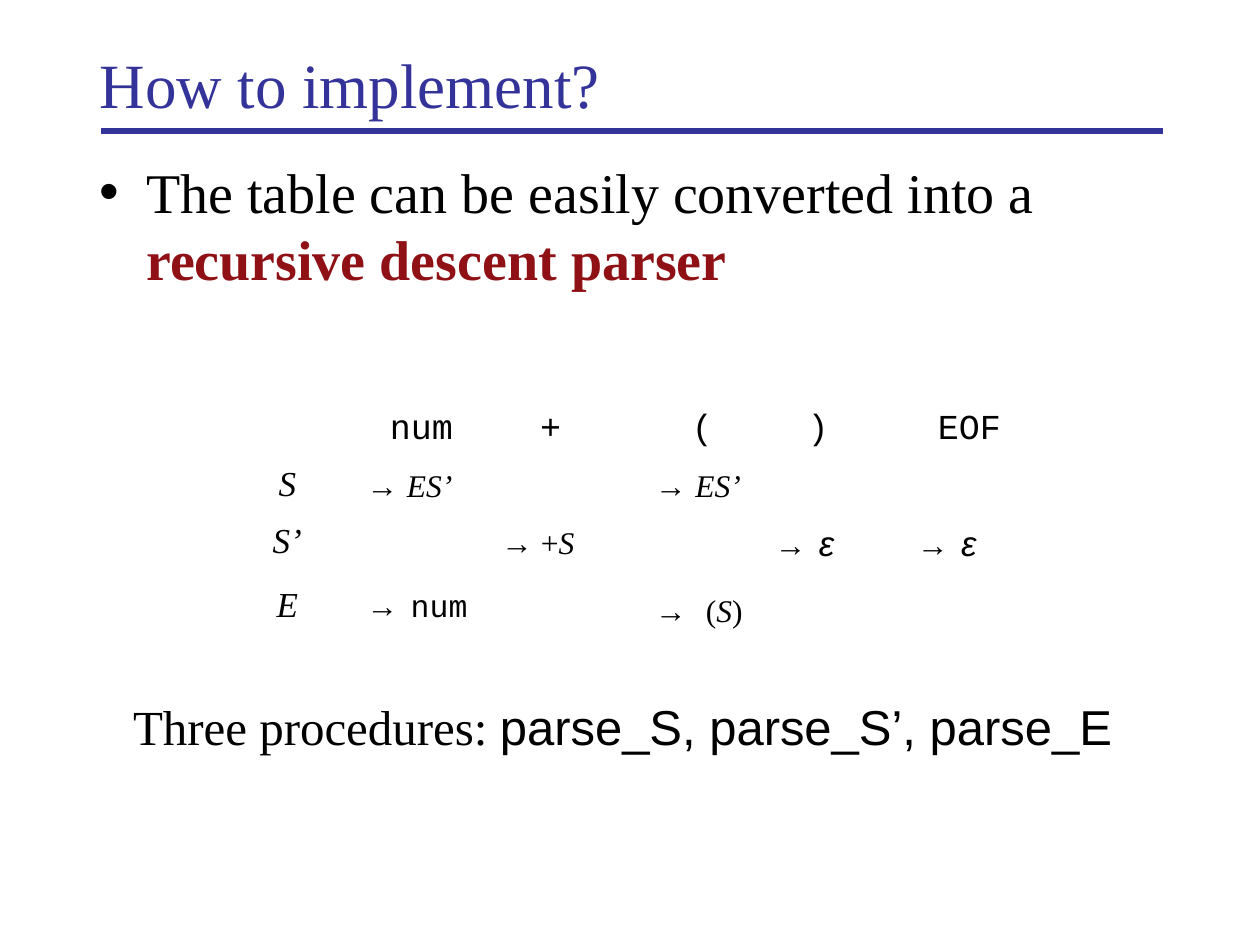
from lxml import etree
from pptx import Presentation
from pptx.dml.color import RGBColor
from pptx.enum import shapes, text
from pptx.oxml import ns
from pptx.util import Inches, Pt

SERIF, SANS, MONO = "Times New Roman", "Arial", "Courier New"
BLUE, RED, BLACK = "333399", "8F1115", "000000"
LEFT, CENTER = text.PP_ALIGN.LEFT, text.PP_ALIGN.CENTER

# Content: each run is (text, format)
TITLE = [("How to implement?", dict(size=36, color=BLUE))]
POINT = [("The table can be easily converted into a ", dict(size=32)),
         ("recursive descent parser", dict(size=32, color=RED, bold=True))]
PROCEDURES = [("Three procedures: ", dict(size=28)),
              ("parse_S, parse_S’, parse_E", dict(size=28, font=SANS))]

ARROW = ("→", dict(font=SANS))
GAP = (" ", dict(size=12, font=MONO))
TO_ES = [("→ ", dict(font=SANS)), ("ES’", dict(italic=True))]
TO_PLUS_S = [ARROW, (" +", {}), ("S", dict(italic=True))]
TO_EMPTY = [ARROW, GAP, ("ε", dict(size=20, font=SANS, italic=True))]
TO_NUM = [ARROW, GAP, ("num", dict(font=MONO))]
TO_PAREN_S = [("→ ", dict(font=SANS)), (" ", dict(size=24, italic=True)),
              ("(", {}), ("S", dict(italic=True)), (")", {})]

# Parse table: tokens with their columns, then nonterminals with their rules
WIDTHS = [1.06, 1.07, 0.98, 0.24, 0.95, 0.89, 0.24, 1.03]
HEIGHTS = [0.45, 0.44, 0.47, 0.54]
COLUMNS = {"num": 1, "+": 2, "(": 4, ")": 5, "EOF": 7}
RULES = [("S", {"num": TO_ES, "(": TO_ES}),
         ("S’", {"+": TO_PLUS_S, ")": TO_EMPTY, "EOF": TO_EMPTY}),
         ("E", {"num": TO_NUM, "(": TO_PAREN_S})]


def rgb(color):
    return RGBColor.from_string(color)


def add_run(p, content, size=18, font=SERIF, color=BLACK, bold=False, italic=False):
    r = p.add_run()
    r.text = content
    r.font.size, r.font.name = Pt(size), font
    r.font.bold, r.font.italic = bold, italic
    r.font.color.rgb = rgb(color)


def write(p, runs, align=LEFT, before=0, spacing=None):
    p.alignment, p.space_before = align, Pt(before)
    if spacing:
        p.line_spacing = spacing
    for content, style in runs:
        add_run(p, content, **style)


def place(sp, left, top, width, height, anchor):
    sp.left, sp.top = Inches(left), Inches(top)
    sp.width, sp.height = Inches(width), Inches(height)
    tf = sp.text_frame
    tf.word_wrap, tf.auto_size = True, text.MSO_AUTO_SIZE.NONE
    tf.vertical_anchor = anchor
    return tf


def hang(p, bullet):
    pPr = p._p.get_or_add_pPr()
    pPr.set("marL", str(Inches(0.37)))
    pPr.set("indent", str(-Inches(0.37)))
    bu = etree.SubElement(pPr, ns.qn("a:buChar" if bullet else "a:buNone"))
    if bullet:
        bu.set("char", bullet)


prs = Presentation()
prs.slide_width, prs.slide_height = Inches(10), Inches(7.5)
s = prs.slides.add_slide(prs.slide_layouts[1])

# Rule under the title
rule = s.shapes.add_connector(shapes.MSO_CONNECTOR.STRAIGHT, Inches(0.8),
                              Inches(1.04), Inches(9.23), Inches(1.04))
rule.line.color.rgb, rule.line.width = rgb(BLUE), Pt(3)
etree.SubElement(rule._element.spPr, ns.qn("a:effectLst"))

# Title and body
tf = place(s.shapes.title, 0.69, 0.31, 8.5, 0.71, text.MSO_ANCHOR.MIDDLE)
write(tf.paragraphs[0], TITLE)
tf = place(s.placeholders[1], 0.69, 1.2, 8.5, 5.45, text.MSO_ANCHOR.TOP)
write(tf.paragraphs[0], POINT, before=8)
hang(tf.paragraphs[0], "•")
p = tf.add_paragraph()
write(p, PROCEDURES, align=CENTER, before=231)  # leaves room for the table
hang(p, None)

# Parse table
table = s.shapes.add_table(len(HEIGHTS), len(WIDTHS), Inches(1.75), Inches(3.18),
                           Inches(sum(WIDTHS)), Inches(sum(HEIGHTS))).table
table.first_row = table.horz_banding = False
for column, width in zip(table.columns, WIDTHS):
    column.width = Inches(width)
for row, height in zip(table.rows, HEIGHTS):
    row.height = Inches(height)
for cell in table.iter_cells():
    cell.fill.background()
    cell.vertical_anchor = text.MSO_ANCHOR.MIDDLE

for token, col in COLUMNS.items():
    write(table.cell(0, col).text_frame.paragraphs[0],
          [(token, dict(size=20, font=MONO))], CENTER, before=5, spacing=0.94)
for row, (symbol, rules) in enumerate(RULES, 1):
    write(table.cell(row, 0).text_frame.paragraphs[0],
          [(symbol, dict(size=20, italic=True))], CENTER, before=5, spacing=0.98)
    for token, runs in rules.items():
        write(table.cell(row, COLUMNS[token]).text_frame.paragraphs[0],
              runs, before=4.5, spacing=1.09)

prs.save("out.pptx")
